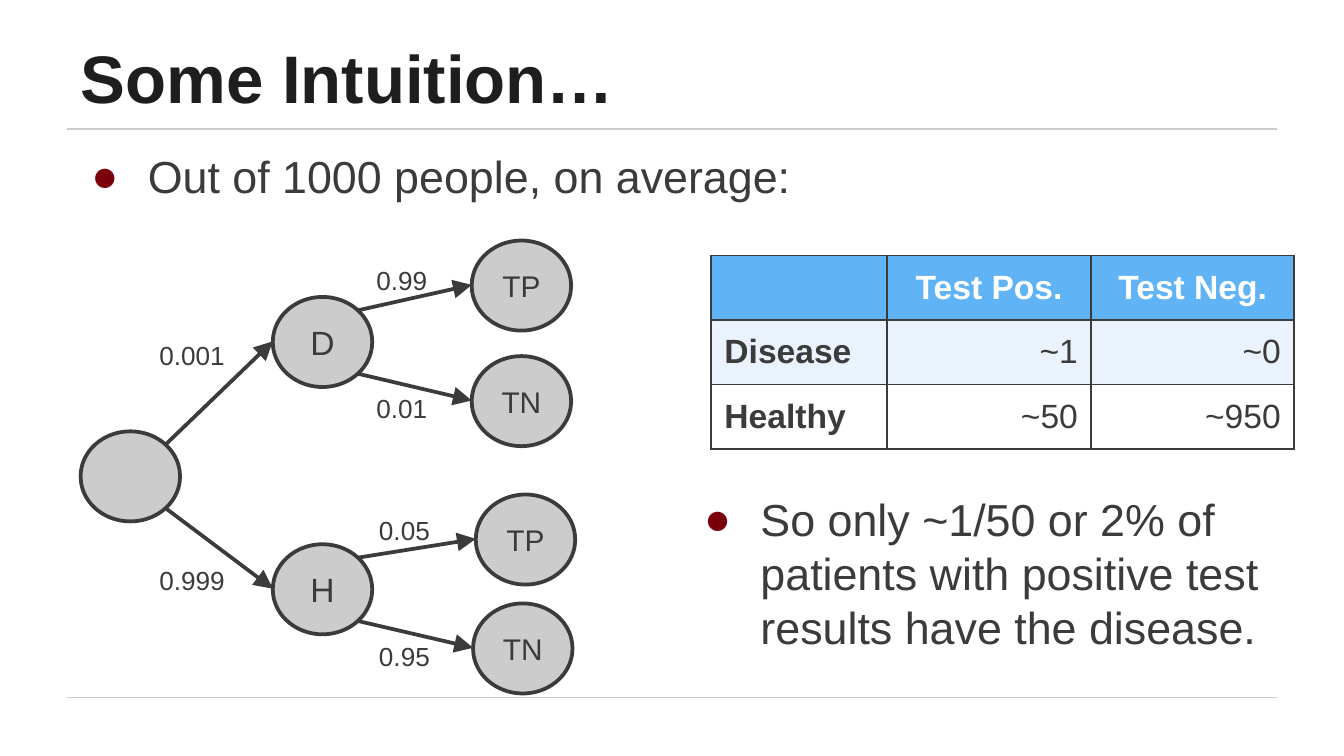
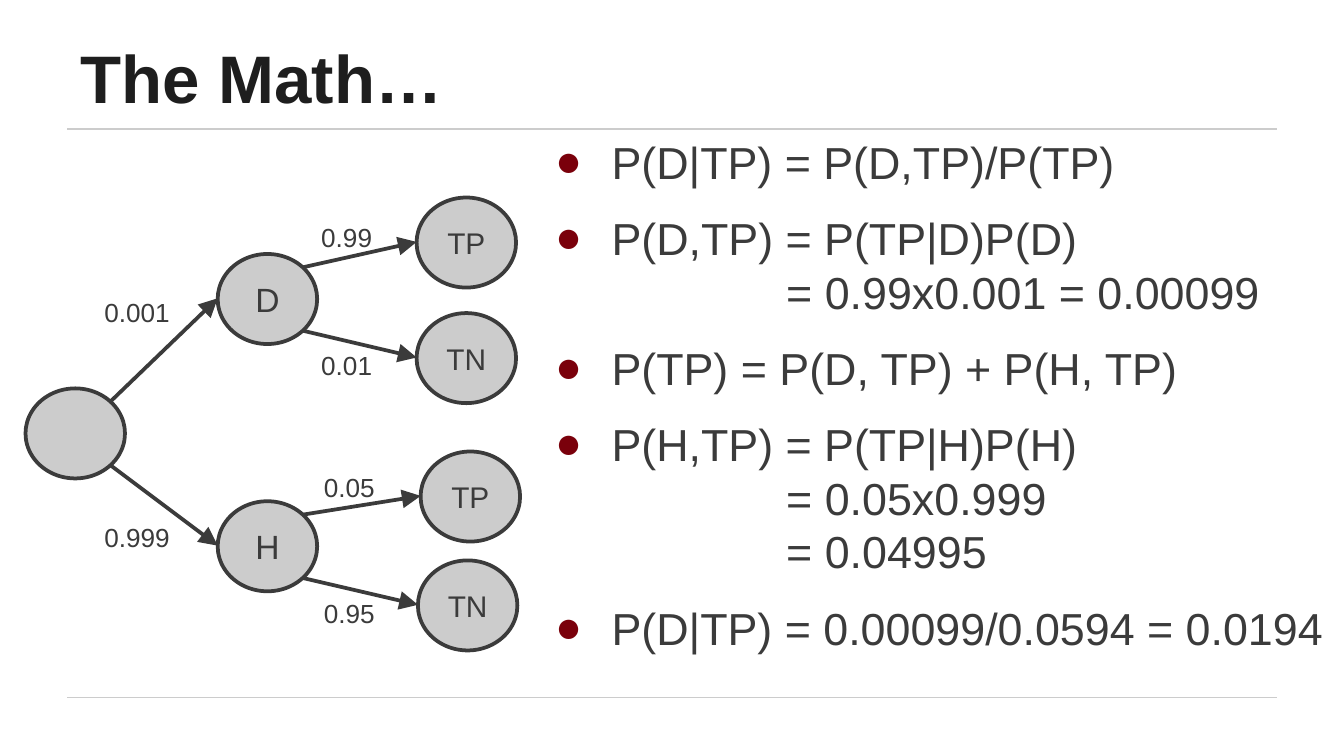
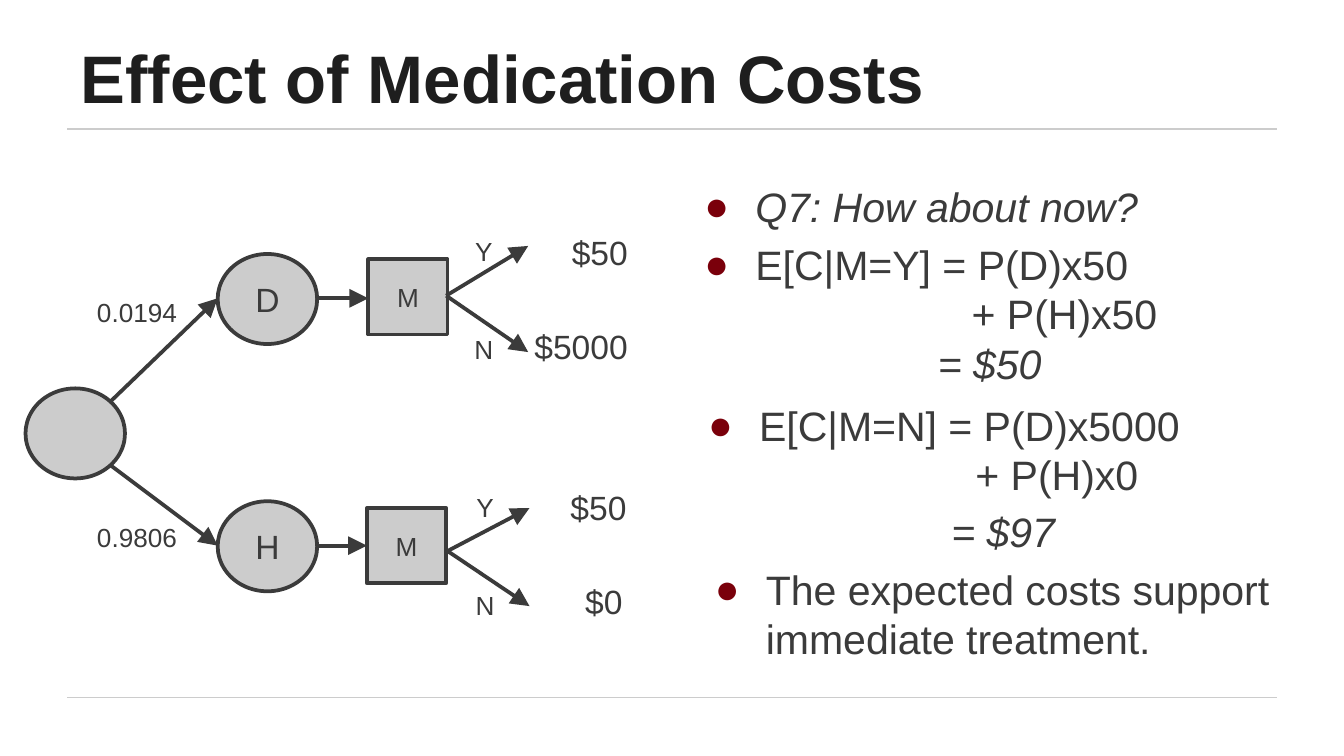
import pptx
import pptx.util
import pptx.dml.color
import pptx.enum.shapes
import pptx.enum.text
import pptx.oxml.ns
import lxml.etree

INK, HEAD, GREY, DOT = "3B3B3B", "1E1E1E", "CCCCCC", "7A000B"
BLUE, PALE, WHITE = "60B4F6", "EAF2FD", "FFFFFF"
FACE = "Arial"
NODE_W, NODE_H = 74, 67
EDGE_X, EDGE_HIGH, EDGE_LOW = 63, 10, 57
ALIGN = pptx.enum.text.PP_ALIGN
ANCHOR = pptx.enum.text.MSO_ANCHOR
KIND = pptx.enum.shapes.MSO_SHAPE


def px(count):
    return pptx.util.Emu(count * 9144)


def color(code):
    return pptx.dml.color.RGBColor.from_string(code)


def child(parent, tag, **attrs):
    node = lxml.etree.SubElement(parent, pptx.oxml.ns.qn(tag))
    for key, value in attrs.items():
        node.set(key, str(value))
    return node


def style(par, size, tone=INK, bold=False, slant=False, align=ALIGN.LEFT):
    par.alignment = align
    for run in par.runs:
        font = run.font
        font.name, font.size = FACE, pptx.util.Pt(size)
        font.bold, font.italic = bold, slant
        font.color.rgb = color(tone)


def pad(frame, anchor):
    frame.word_wrap = True
    frame.auto_size = pptx.enum.text.MSO_AUTO_SIZE.NONE
    frame.vertical_anchor = anchor
    frame.margin_left = frame.margin_right = px(10)
    frame.margin_top = frame.margin_bottom = px(10)


def place(shape, box):
    shape.left, shape.top, shape.width, shape.height = map(px, box)


def line(slide, start, end, tone=INK, width=2, arrow=True):
    link = slide.shapes.add_connector(
        pptx.enum.shapes.MSO_CONNECTOR.STRAIGHT, *map(px, start + end))
    link.line.color.rgb = color(tone)
    link.line.width = pptx.util.Pt(width)
    if arrow:
        child(link.line._get_or_add_ln(), "a:tailEnd", type="triangle", w="lg", len="lg")
    child(link.element.spPr, "a:effectLst")
    return link


def label(slide, left, top, text, size=14, align=ALIGN.CENTER):
    frame = slide.shapes.add_textbox(*map(px, (left, top, 106, 47))).text_frame
    frame.word_wrap = True
    frame.vertical_anchor = ANCHOR.MIDDLE
    frame.text = text
    style(frame.paragraphs[0], size, align=align)


def node(slide, left, top, text, size, kind=KIND.OVAL, width=NODE_W, height=NODE_H):
    shape = slide.shapes.add_shape(kind, *map(px, (left, top, width, height)))
    shape.shadow.inherit = False
    shape.fill.solid()
    shape.fill.fore_color.rgb = color(GREY)
    shape.line.color.rgb = color(INK)
    shape.line.width = pptx.util.Pt(2)
    if text:
        frame = shape.text_frame
        frame.text = text
        frame.vertical_anchor = ANCHOR.MIDDLE
        style(frame.paragraphs[0], size, align=ALIGN.CENTER)


def points(slide, box, lines, size=24, left=50, hang=42, gap=4.8, deep=1, shape=None):
    shape = shape or slide.shapes.add_textbox(0, 0, 0, 0)
    place(shape, box)
    frame = shape.text_frame
    pad(frame, ANCHOR.TOP)
    for index, text in enumerate(lines):
        par = frame.add_paragraph() if index else frame.paragraphs[0]
        par.text = text
        style(par, size)
        follow = text[0] in "=+"
        par.space_before = pptx.util.Pt(0 if follow else gap)
        props = par._p.get_or_add_pPr()
        props.set("marL", str(px(deep if follow else left)))
        props.set("indent", str(px(0 if follow else -hang)))
        if follow:
            child(props, "a:buNone")
        else:
            child(child(props, "a:buClr"), "a:srgbClr", val=DOT)
            child(props, "a:buFont", typeface=FACE)
            child(props, "a:buChar", char="●")
    return frame


def rules(deck, slide):
    for index, top in enumerate((96, 519)):
        rule = line(slide, (50, top), (950, top), GREY, 0.75, False)
        rule.element.nvCxnSpPr.cNvPr.set("id", str(20 + index))
        deck.slide_layouts[1].shapes.element.append(rule.element)


def page(deck, title):
    slide = deck.slides.add_slide(deck.slide_layouts[1])
    place(slide.shapes.title, (50, 23, 908, 74))
    frame = slide.shapes.title.text_frame
    pad(frame, ANCHOR.BOTTOM)
    frame.text = title
    style(frame.paragraphs[0], 36, HEAD, bold=True)
    return slide, slide.placeholders[1]


def fork(slide, left, top, ends):
    for rise, (x, y) in zip((EDGE_HIGH, EDGE_LOW), ends):
        line(slide, (left + EDGE_X, top + rise), (x, y + NODE_H // 2))


def stem(slide, left, top, odds):
    root, heads = (left, top + 142), [(left + 143, top + 42), (left + 143, top + 226)]
    node(slide, *root, "", 18)
    for head, name in zip(heads, "DH"):
        node(slide, *head, name, 18)
    fork(slide, *root, heads)
    for drop, text in zip((62, 229), odds):
        label(slide, left + 30, top + drop, text)
    return heads


def tests(slide, left, top):
    heads = stem(slide, left, top, ("0.001", "0.999"))
    groups = [
        (((291, 0), (291, 86)), 186, ((6, "0.99"), (101, "0.01"))),
        (((294, 189), (292, 270)), 188, ((192, "0.05"), (286, "0.95"))),
    ]
    for head, (spots, across, odds) in zip(heads, groups):
        leaves = [(left + x, top + y) for x, y in spots]
        for leaf, name in zip(leaves, ("TP", "TN")):
            node(slide, *leaf, name, 16)
        fork(slide, *head, leaves)
        for drop, text in odds:
            label(slide, left + across, top + drop, text)


def costs(slide, left, top):
    heads = stem(slide, left, top, ("0.0194", "0.9806"))
    groups = [
        ((255, 46), (313, 73), ((36, 16, "Y", 352, 17, "$50"),
                                (115, 89, "N", 352, 87, "$5000"))),
        ((254, 231), (314, 263), ((231, 207, "Y", 351, 207, "$50"),
                                  (304, 280, "N", 348, 277, "$0"))),
    ]
    for (x, y), (square, split, arms) in zip(heads, groups):
        middle = y + NODE_H // 2
        line(slide, (x + NODE_W, middle), (left + square[0], middle))
        node(slide, left + square[0], top + square[1], "M", 14, KIND.RECTANGLE, 59, 56)
        start = (left + split[0], top + split[1])
        for tip, drop, choice, across, down, fee in arms:
            line(slide, start, (start[0] + 61, top + tip))
            label(slide, start[0] - 25, top + drop, choice)
            label(slide, left + across, top + down, fee, 18, ALIGN.RIGHT)


def border(cell):
    props = cell._tc.get_or_add_tcPr()
    for side in "LRTB":
        edge = child(props, "a:ln" + side, w=pptx.util.Pt(1))
        child(child(edge, "a:solidFill"), "a:srgbClr", val=INK)


def counts(slide, left, top):
    data = [("", "Test Pos.", "Test Neg."), ("Disease", "~1", "~0"), ("Healthy", "~50", "~950")]
    holder = slide.shapes.add_table(3, 3, *map(px, (left, top, 434, 150)))
    table = holder.table
    for index, width in enumerate((131, 152, 151)):
        table.columns[index].width = px(width)
    for row, (texts, fill) in enumerate(zip(data, (BLUE, PALE, WHITE))):
        table.rows[row].height = px(42)
        for col, text in enumerate(texts):
            cell = table.cell(row, col)
            cell.margin_left = cell.margin_right = px(10)
            cell.margin_top = cell.margin_bottom = px(10)
            border(cell)
            cell.fill.solid()
            cell.fill.fore_color.rgb = color(fill)
            cell.text = text
            par = cell.text_frame.paragraphs[0]
            align = ALIGN.CENTER if row == 0 else ALIGN.RIGHT if col else ALIGN.LEFT
            style(par, 18, INK if row else WHITE, bold=row == 0 or col == 0, align=align)
            if not text:
                child(par._p, "a:endParaRPr", sz=1400)
    holder.height = px(150)


def hunch(deck):
    slide, body = page(deck, "Some Intuition…")
    rules(deck, slide)
    points(slide, (50, 101, 900, 53), ["Out of 1000 people, on average:"], shape=body)
    counts(slide, 529, 190)
    tests(slide, 60, 179)
    points(slide, (506, 356, 475, 167), [
        "So only ~1/50 or 2% of patients with positive test results have the disease."])


def proof(deck):
    slide, body = page(deck, "The Math…")
    tests(slide, 19, 147)
    points(slide, (395, 90, 607, 167), [
        "P(D|TP) = P(D,TP)/P(TP)",
        "P(D,TP) = P(TP|D)P(D)",
        "= 0.99x0.001 = 0.00099",
        "P(TP) = P(D, TP) + P(H, TP)",
        "P(H,TP) = P(TP|H)P(H)",
        "= 0.05x0.999",
        "= 0.04995",
        "P(D|TP) = 0.00099/0.0594 = 0.0194",
    ], gap=12, deep=180, shape=body)


def price(deck):
    slide, body = page(deck, "Effect of Medication Costs")
    costs(slide, 19, 147)
    form = dict(size=22, left=39, hang=38)
    first = points(slide, (513, 125, 496, 183), [
        "Q7: How about now?", "E[C|M=Y] = P(D)x50", "+ P(H)x50"], deep=200, shape=body, **form)
    style(first.paragraphs[0], 22, slant=True)
    points(slide, (516, 288, 496, 90), ["E[C|M=N] = P(D)x5000", "+ P(H)x0"], deep=200, **form)
    for left, top, text in ((687, 242, "= $50"), (697, 367, "= $97")):
        total = points(slide, (left, top, 248, 66), [text], **form)
        style(total.paragraphs[0], 22, slant=True)
    points(slide, (521, 410, 451, 98), ["The expected costs support immediate treatment."], **form)


def main():
    deck = pptx.Presentation()
    deck.slide_width = px(1000)
    deck.slide_height = deck.slide_width * 9 // 16
    hunch(deck)
    proof(deck)
    price(deck)
    deck.save("out.pptx")


if __name__ == "__main__":
    main()
